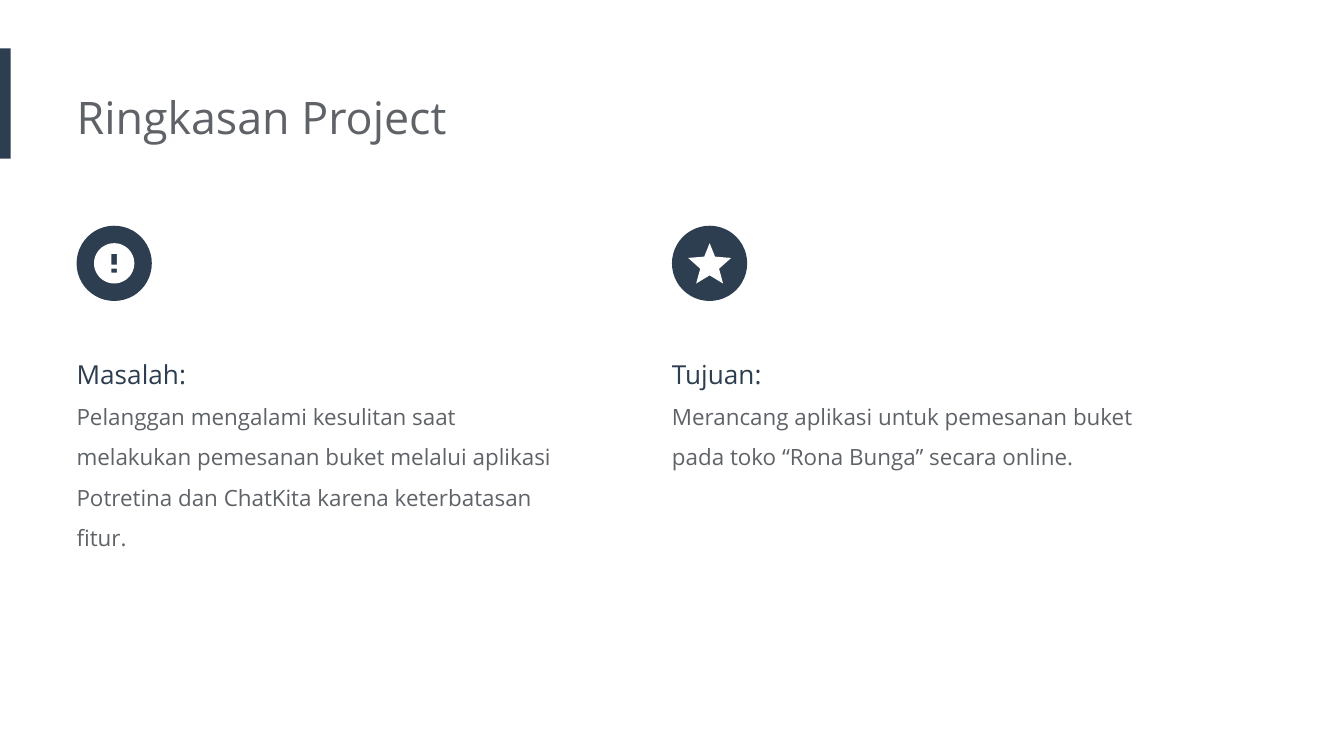
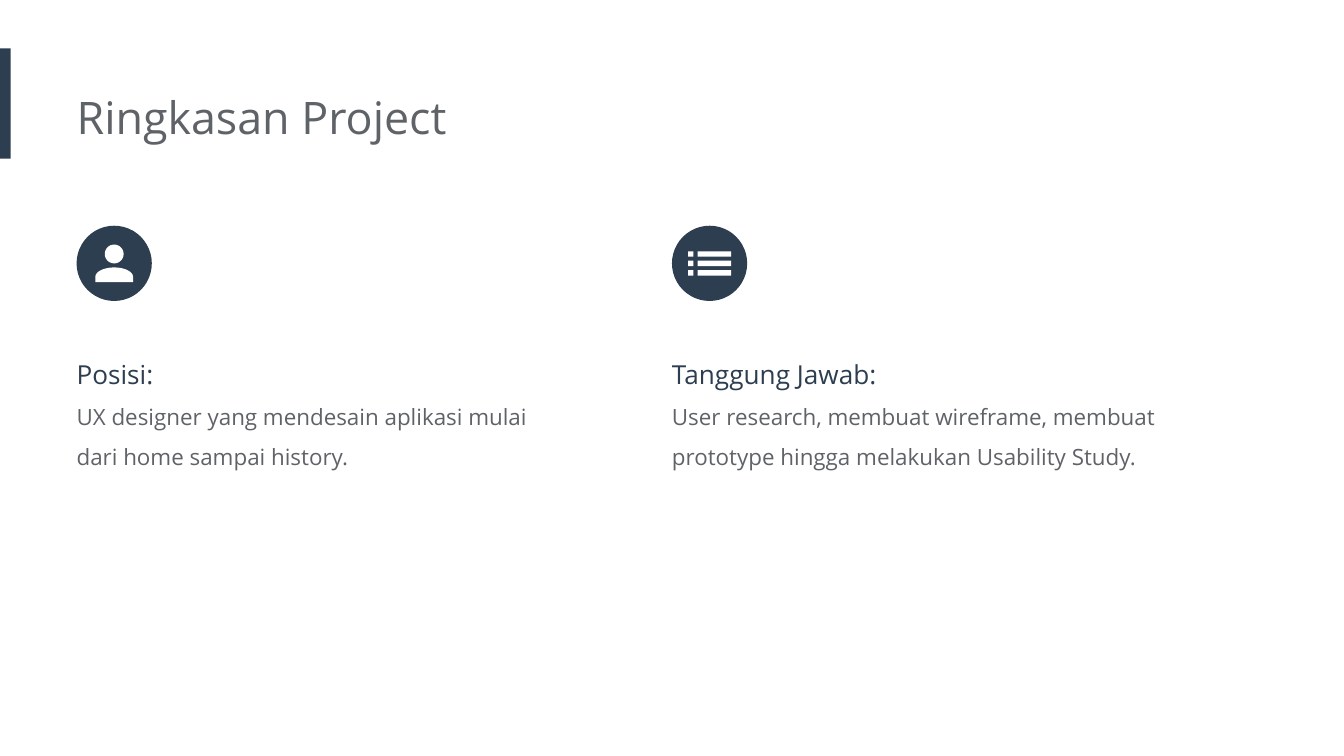
from dataclasses import dataclass
from math import cos, pi, sin

from pptx import Presentation
from pptx.dml.color import RGBColor
from pptx.enum.shapes import MSO_SHAPE
from pptx.enum.text import MSO_AUTO_SIZE
from pptx.util import Inches, Pt

RECT, OVAL = MSO_SHAPE.RECTANGLE, MSO_SHAPE.OVAL
GROW = MSO_AUTO_SIZE.SHAPE_TO_FIT_TEXT


@dataclass(frozen=True)
class Theme:
    navy: RGBColor = RGBColor(0x2D, 0x3E, 0x50)
    grey: RGBColor = RGBColor(0x5F, 0x63, 0x68)
    white: RGBColor = RGBColor(0xFF, 0xFF, 0xFF)
    font: str = "Open Sans"
    title: int = 24
    heading: int = 14
    body: int = 12


theme = Theme()
TITLE = "Ringkasan Project"
COLUMNS = (0.57, 5)
ICON_TOP, ICON_SIZE = 1.68, 0.56


def add_text(s, *lines, left, top, width, height, spacing=None):
    """Add a box with one paragraph per (text, size, colour) line."""
    box = s.shapes.add_textbox(Inches(left), Inches(top), Inches(width), Inches(height))
    tf = box.text_frame
    tf.word_wrap = True
    tf.auto_size = GROW
    tf.margin_left = 0
    tf.margin_right = tf.margin_top = tf.margin_bottom = Inches(0.1)
    for i, (text, size, color) in enumerate(lines):
        p = tf.add_paragraph() if i else tf.paragraphs[0]
        p.line_spacing = spacing
        r = p.add_run()
        r.text = text
        r.font.name = theme.font
        r.font.size = Pt(size)
        r.font.color.rgb = color


def arc(y, rx, ry, start=0, end=2 * pi, steps=48):
    """Points of an elliptical arc centred at (0, y)."""
    angles = [start + (end - start) * i / steps for i in range(steps + 1)]
    return [(rx * cos(a), y + ry * sin(a)) for a in angles]


# Icon outlines, in inches from the centre of their disc
bars = [[(x1, y), (x2, y), (x2, y + 0.04), (x1, y + 0.04)]
        for x1, x2 in ((-0.16, -0.12), (-0.09, 0.16))
        for y in (-0.09, -0.02, 0.05)]
star_half = [(0, -0.15), (0.04, -0.05), (0.16, -0.04), (0.07, 0.04), (0.1, 0.15), (0, 0.09)]
star = [star_half + [(-x, y) for x, y in star_half[-2:0:-1]]]
alert = [arc(0, 0.15, 0.15)] + [
    [(-0.02, y1), (0.02, y1), (0.02, y2), (-0.02, y2)]
    for y1, y2 in ((-0.07, 0.01), (0.04, 0.07))]
person = [arc(-0.07, 0.07, 0.07),
          arc(0.1, 0.14, 0.07, pi, 2 * pi) + [(0.14, 0.14), (-0.14, 0.14)]]

# Each column: heading, body, box height, icon
slides = [
    [("Masalah:", "Pelanggan mengalami kesulitan saat melakukan pemesanan buket melalui "
      "aplikasi Potretina dan ChatKita karena keterbatasan fitur.", 1.77, alert),
     ("Tujuan:", "Merancang aplikasi untuk pemesanan buket pada toko “Rona Bunga” "
      "secara online.", 1.16, star)],
    [("Posisi:", "UX designer yang mendesain aplikasi mulai dari home sampai history.",
      1.16, person),
     ("Tanggung Jawab:", "User research, membuat wireframe, membuat prototype hingga "
      "melakukan Usability Study.", 1.46, bars)],
]

prs = Presentation()
prs.slide_width = Inches(10)
prs.slide_height = Inches(10 * 9 / 16)

for columns in slides:
    s = prs.slides.add_slide(prs.slide_layouts[6])
    band = s.shapes.add_shape(RECT, 0, Inches(0.36), Inches(0.08), Inches(0.82))
    filled = [(band, theme.navy)]
    add_text(s, (TITLE, theme.title, theme.grey),
             left=COLUMNS[0], top=0.57, width=6.73, height=0.61)

    for left, (heading, body, height, icon) in zip(COLUMNS, columns):
        add_text(s, (heading, theme.heading, theme.navy), (body, theme.body, theme.grey),
                 left=left, top=2.45, width=3.77, height=height, spacing=1.5)
        disc = s.shapes.add_shape(OVAL, Inches(left), Inches(ICON_TOP),
                                  Inches(ICON_SIZE), Inches(ICON_SIZE))
        cx, cy = left + ICON_SIZE / 2, ICON_TOP + ICON_SIZE / 2
        outlines = [[(Inches(cx + x), Inches(cy + y)) for x, y in pts] for pts in icon]
        builder = s.shapes.build_freeform(*outlines[0][0])
        builder.add_line_segments(outlines[0][1:])
        for pts in outlines[1:]:
            builder.move_to(*pts[0])
            builder.add_line_segments(pts[1:])
        filled += [(disc, theme.navy), (builder.convert_to_shape(), theme.white)]

    for sp, color in filled:
        sp.shadow.inherit = False
        sp.fill.solid()
        sp.fill.fore_color.rgb = color
        sp.line.fill.background()

prs.save("out.pptx")
